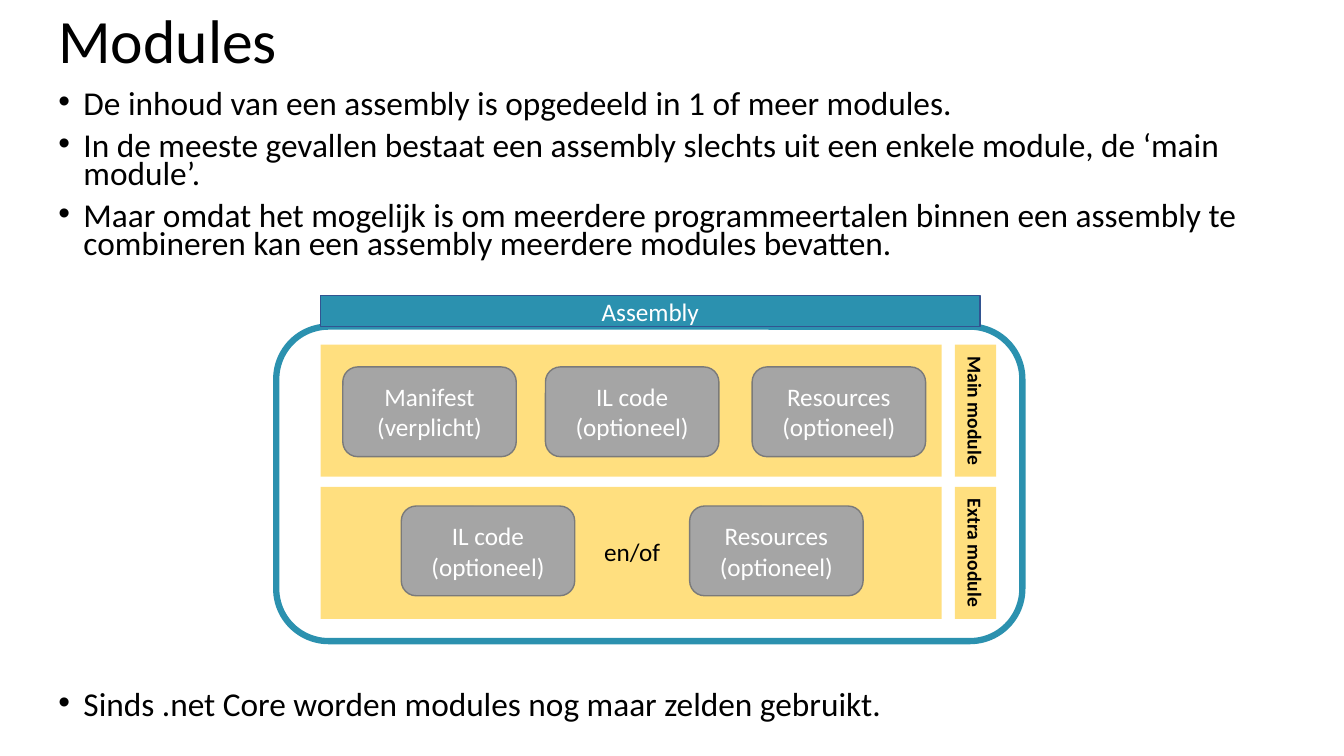
from lxml.etree import SubElement
from pptx import Presentation
from pptx.dml.color import RGBColor
from pptx.enum.shapes import MSO_SHAPE as Shape
from pptx.enum.text import MSO_ANCHOR as Anchor, PP_ALIGN as Align
from pptx.oxml.ns import qn
from pptx.util import Inches, Pt

WHITE = RGBColor(0xFF, 0xFF, 0xFF)
BLACK = RGBColor(0, 0, 0)
TEAL = RGBColor(0x2B, 0x91, 0xAF)
NAVY = RGBColor(0x32, 0x54, 0x91)
GOLD = RGBColor(0xFF, 0xC0, 0x00)
GRAY = RGBColor(0xA5, 0xA5, 0xA5)
EDGE = RGBColor(0x7A, 0x7A, 0x7A)

TITLE = "Modules"
INTRO = [
    "De inhoud van een assembly is opgedeeld in 1 of meer modules.",
    "In de meeste gevallen bestaat een assembly slechts uit een enkele module, "
    "de ‘main module’.",
    "Maar omdat het mogelijk is om meerdere programmeertalen binnen een assembly "
    "te combineren kan een assembly meerdere modules bevatten.",
]
CLOSING = ["Sinds .net Core worden modules nog maar zelden gebruikt."]
CODE = ["IL code", "(optioneel)"]
DATA = ["Resources", "(optioneel)"]
# module name, top of its parts within the row, (left, lines) of each part
MODULES = [
    ("Main module", 0.22,
     [(3.4, ["Manifest", "(verplicht)"]), (5.41, CODE), (7.46, DATA)]),
    ("Extra module", 0.19, [(3.98, CODE), (6.84, DATA)]),
]

MARGIN, WIDE = 0.48, 11.94
LEFT, TOP, PITCH = 3.18, 3.42, 1.41
ROW_W, ROW_H = 6.16, 1.31
TAB_W, TAB_X = 0.41, 9.47
PART_W, PART_H = 1.72, 0.89

deck = Presentation()
deck.slide_width, deck.slide_height = Inches(13.33), Inches(7.5)
slide = deck.slides.add_slide(deck.slide_layouts[6])


def write(item, lines, size=18, color=WHITE, bold=False, align=Align.CENTER,
          anchor=Anchor.MIDDLE, inset=(0, 0), spacing=None, before=0, bullet=False):
    frame = item.text_frame
    frame.word_wrap = True
    frame.vertical_anchor = anchor
    frame.margin_left = frame.margin_right = Inches(inset[0])
    frame.margin_top = frame.margin_bottom = Inches(inset[1])
    for i, line in enumerate(lines):
        para = frame.paragraphs[0] if i == 0 else frame.add_paragraph()
        para.text = line
        para.alignment = align
        para.line_spacing = spacing
        para.space_before = Pt(before if i else 0)
        if bullet:
            props = para._p.get_or_add_pPr()
            props.set("marL", str(Inches(0.25)))
            props.set("indent", str(-Inches(0.25)))
            SubElement(props, qn("a:buFont")).set("typeface", "Arial")
            SubElement(props, qn("a:buChar")).set("char", "•")
        font = para.font
        font.name, font.size, font.bold = "Calibri", Pt(size), bold
        font.color.rgb = color


def label(x, y, w, h, lines, **form):
    box = slide.shapes.add_textbox(*map(Inches, (x, y, w, h)))
    write(box, lines, **form)


def block(kind, x, y, w, h, fill, line=None, weight=1, alpha=None):
    item = slide.shapes.add_shape(kind, *map(Inches, (x, y, w, h)))
    item.shadow.inherit = False
    item.fill.solid()
    item.fill.fore_color.rgb = fill
    if alpha:
        tint = item._element.spPr.find(qn("a:solidFill"))[0]
        SubElement(tint, qn("a:alpha")).set("val", str(alpha * 1000))
    if line is None:
        item.line.fill.background()
    else:
        item.line.color.rgb = line
        item.line.width = Pt(weight)
    return item


def bullets(y, h, lines):
    label(MARGIN, y, WIDE, h, lines, size=23.8, color=BLACK, align=Align.LEFT,
          anchor=Anchor.TOP, inset=(0.1, 0.05), spacing=0.7, before=10, bullet=True)


label(MARGIN, 0, WIDE, 0.87, [TITLE], size=44, color=BLACK, align=Align.LEFT,
      inset=(0.1, 0.05), spacing=0.9)
bullets(0.87, 1.85, INTRO)
bullets(6.84, 0.47, CLOSING)

block(Shape.ROUNDED_RECTANGLE, 2.74, 3.24, 7.4, 3.12, WHITE, TEAL, 4.5)
write(block(Shape.RECTANGLE, LEFT, 2.93, 6.54, 0.31, TEAL, NAVY), ["Assembly"])

for n, (name, drop, parts) in enumerate(MODULES):
    y = TOP + n * PITCH
    block(Shape.RECTANGLE, LEFT, y, ROW_W, ROW_H, GOLD, alpha=50)
    # A quarter turn about the centre swaps the tab's width and height
    shift = (ROW_H - TAB_W) / 2
    tab = block(Shape.RECTANGLE, TAB_X - shift, y + shift, ROW_H, TAB_W, GOLD, alpha=50)
    tab.rotation = 90
    write(tab, [name], size=14, color=BLACK, bold=True)
    for x, lines in parts:
        part = block(Shape.ROUNDED_RECTANGLE, x, y + drop, PART_W, PART_H, GRAY, EDGE)
        write(part, lines)

label(5.82, 5.27, 0.9, 0.4, ["en/of"], color=BLACK)

deck.save("out.pptx")
